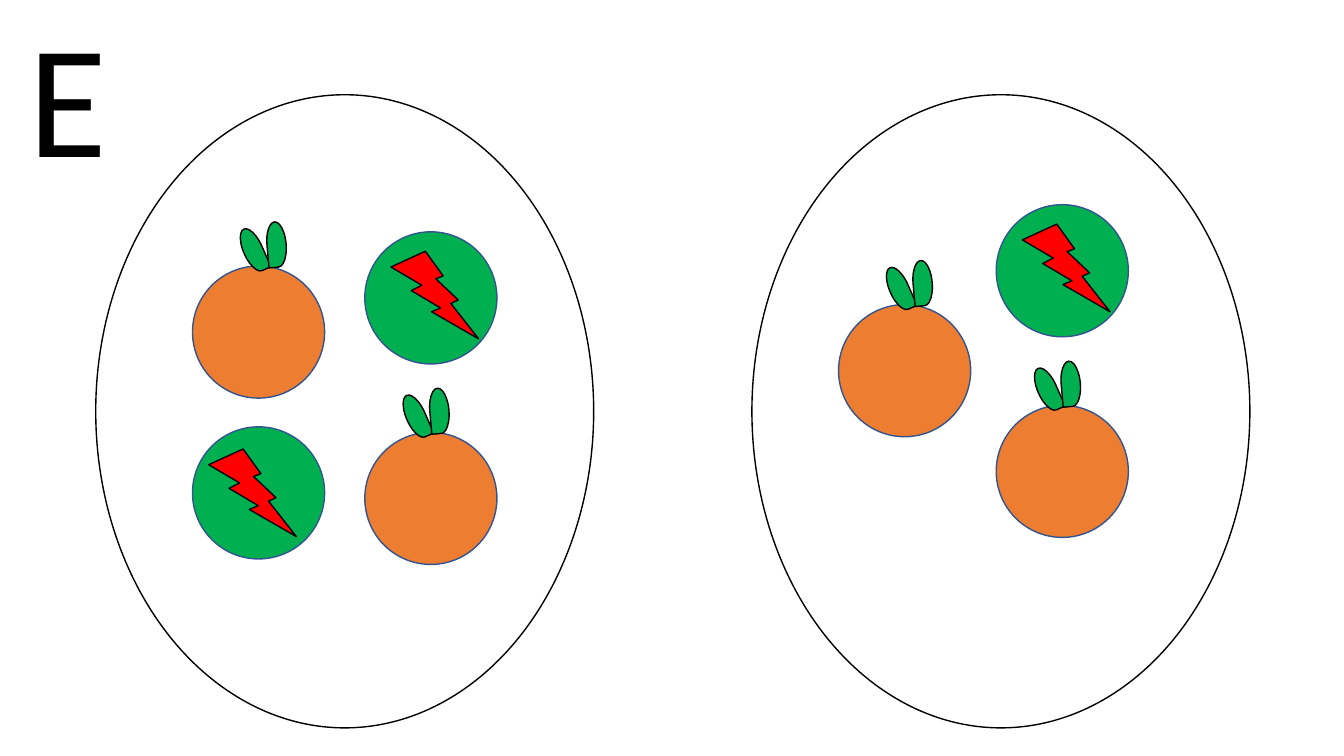
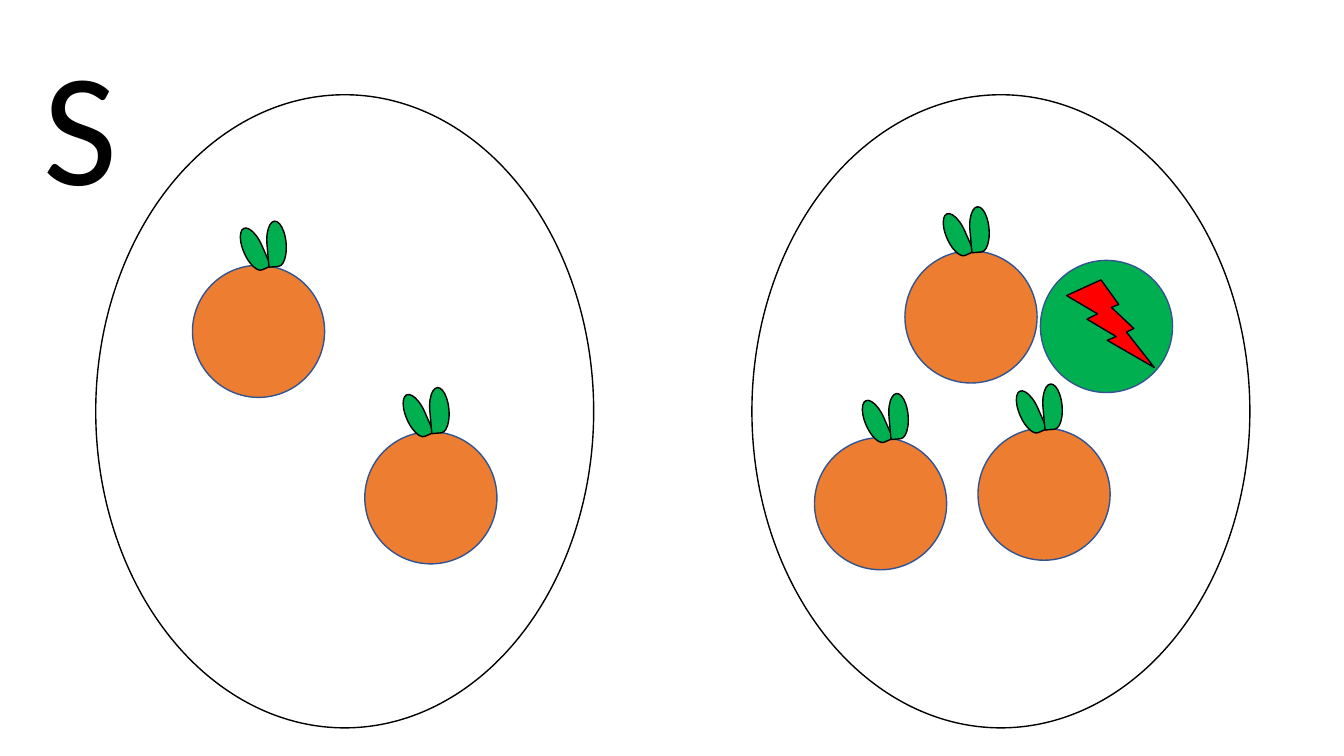
"""Build two slides of fruit sorted into pairs of large ovals."""
from pptx import Presentation
from pptx.dml.color import RGBColor
from pptx.enum.shapes import MSO_SHAPE
from pptx.enum.text import MSO_AUTO_SIZE
from pptx.util import Pt

BLACK, WHITE, NAVY = "000000", "FFFFFF", "325491"
GREEN, RED, ORANGE = "00B050", "FF0000", "ED7D31"

OVALS = [(68.4, 67.7), (537.1, 67.7)]
OVAL_SIZE = (355.7, 452.2)
FRUIT_SIZE = (94.4, 94.4)
BOLT_SIZE = (62.6, 62.6)
LEAF_SIZE = (32.4, 13.7)
LEAF_TOP = -18.4
LEAF_STEP = (16.8, -3.8)
LEFT_STALK, MIDDLE_STALK = 27, 20.2
HIGH_BOLT, LOW_BOLT = (18.7, 13.9), (11.6, 15.8)

SLIDES = [
    {
        "letter": "E",
        "letter_box": (13, -5.8, 71.3, 146.9),
        "melons": [(260.6, 165.6, HIGH_BOLT), (137.5, 304.9, LOW_BOLT),
                   (711.6, 146.2, HIGH_BOLT)],
        "oranges": [(137.5, 190, LEFT_STALK), (260.6, 308.8, MIDDLE_STALK),
                    (599, 217.6, LEFT_STALK), (711.6, 289.5, MIDDLE_STALK)],
    },
    {
        "letter": "S",
        "letter_box": (23.8, 13.7, 67.7, 146.9),
        "melons": [(743.2, 186, HIGH_BOLT)],
        "oranges": [(137.5, 189.5, LEFT_STALK), (260.6, 308.4, MIDDLE_STALK),
                    (581.8, 312.6, LEFT_STALK), (698.6, 305.8, MIDDLE_STALK),
                    (646.4, 179.2, MIDDLE_STALK)],
    },
]


def color(value):
    return RGBColor.from_string(value)


def add_figure(shapes, kind, left, top, size, fill, line=BLACK):
    shape = shapes.add_shape(kind, Pt(left), Pt(top), Pt(size[0]), Pt(size[1]))
    shape.shadow.inherit = False
    shape.fill.solid()
    shape.fill.fore_color.rgb = color(fill)
    shape.line.color.rgb = color(line)
    shape.line.width = Pt(1)
    return shape


def add_melon(slide, left, top, bolt):
    shapes = slide.shapes.add_group_shape().shapes
    add_figure(shapes, MSO_SHAPE.OVAL, left, top, FRUIT_SIZE, GREEN, NAVY)
    add_figure(shapes, MSO_SHAPE.LIGHTNING_BOLT, left + bolt[0], top + bolt[1],
               BOLT_SIZE, RED)


def add_orange(slide, left, top, stalk):
    shapes = slide.shapes.add_group_shape().shapes
    add_figure(shapes, MSO_SHAPE.OVAL, left, top, FRUIT_SIZE, ORANGE, NAVY)
    leaf_left, leaf_top = left + stalk, top + LEAF_TOP
    left_leaf = add_figure(shapes, MSO_SHAPE.TEAR, leaf_left, leaf_top,
                           LEAF_SIZE, GREEN)
    left_leaf.rotation = 66.2
    right_leaf = add_figure(shapes, MSO_SHAPE.TEAR, leaf_left + LEAF_STEP[0],
                            leaf_top + LEAF_STEP[1], LEAF_SIZE, GREEN)
    right_leaf.rotation = 264.9
    right_leaf._element.spPr.xfrm.set("flipH", "1")


def add_letter(slide, text, box):
    frame = slide.shapes.add_textbox(*map(Pt, box)).text_frame
    frame.word_wrap = False
    frame.auto_size = MSO_AUTO_SIZE.SHAPE_TO_FIT_TEXT
    paragraph = frame.paragraphs[0]
    paragraph.text = text
    paragraph.font.name = "Calibri"
    paragraph.font.size = Pt(115)
    paragraph.font.color.rgb = color(BLACK)


presentation = Presentation()
presentation.slide_width, presentation.slide_height = Pt(960), Pt(540)
for content in SLIDES:
    slide = presentation.slides.add_slide(presentation.slide_layouts[6])
    for left, top in OVALS:
        add_figure(slide.shapes, MSO_SHAPE.OVAL, left, top, OVAL_SIZE, WHITE)
    for melon in content["melons"]:
        add_melon(slide, *melon)
    for orange in content["oranges"]:
        add_orange(slide, *orange)
    add_letter(slide, content["letter"], content["letter_box"])
presentation.save("out.pptx")
